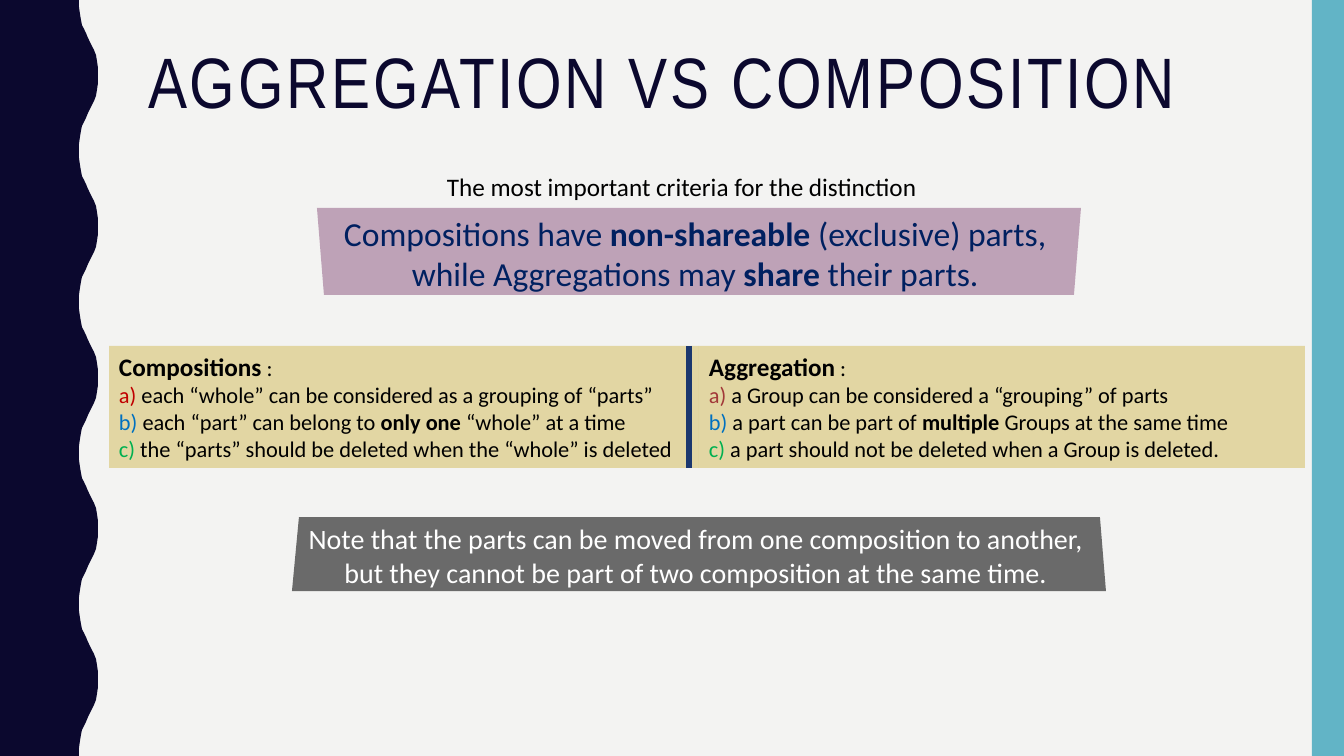
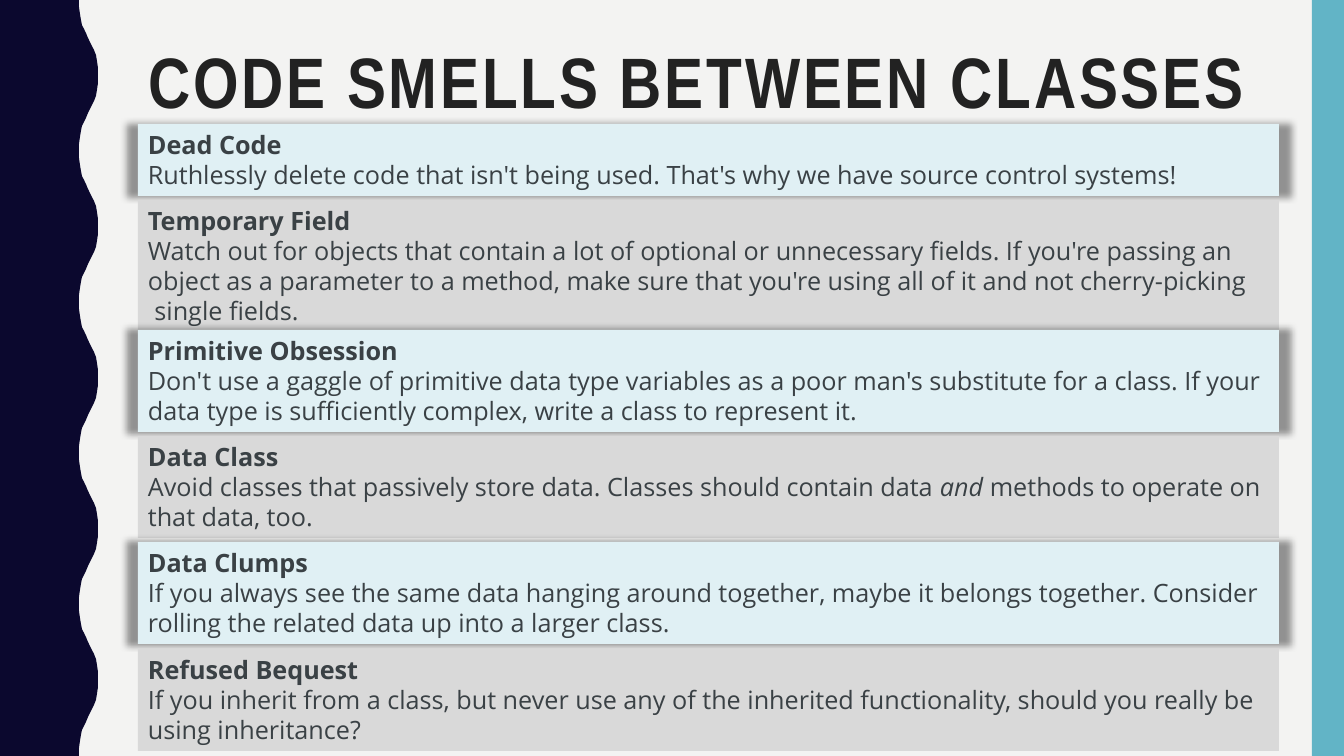
from lxml import etree
from pptx import Presentation
from pptx.dml.color import RGBColor
from pptx.enum import shapes, text
from pptx.oxml import ns
from pptx.util import Emu, Pt

NAVY = RGBColor(0x0B, 0x08, 0x2E)
TEAL = RGBColor(0x62, 0xB4, 0xC6)
PAPER = RGBColor(0xF3, 0xF3, 0xF2)
BLACK = RGBColor(0, 0, 0)
WHITE = RGBColor(0xFF, 0xFF, 0xFF)
CHARCOAL = RGBColor(0x22, 0x22, 0x22)
SLATE = RGBColor(0x3A, 0x41, 0x45)
DEEP_BLUE = RGBColor(0x00, 0x20, 0x60)
DIVIDER_BLUE = RGBColor(0x1B, 0x37, 0x6E)
MAUVE = RGBColor(0x96, 0x64, 0x8A)
SAND = RGBColor(0xD3, 0xBA, 0x55)
ICE = RGBColor(0xE0, 0xF0, 0xF4)
SILVER = RGBColor(0xD9, 0xD9, 0xD9)
RED = RGBColor(0xC0, 0x00, 0x00)
BRICK = RGBColor(0xA2, 0x39, 0x39)
BLUE = RGBColor(0x00, 0x70, 0xC0)
GREEN = RGBColor(0x00, 0xB0, 0x50)

WIDTH, HEIGHT = 1344, 756
EMU_PER_PX = 12192000 / WIDTH
TITLE_FONT, BODY_FONT, CARD_FONT = "Arial Narrow", "Calibri", "Open Sans"

WAVES = 5
HALF_WAVE = [(79, 0), (79, 7), (80, 14), (81, 20), (82, 25), (84, 29), (86, 33), (88, 38),
             (90, 42), (92, 46), (94, 50), (96, 55), (97, 61), (98, 68), (98, 76)]


def px(length):
    return Emu(round(length * EMU_PER_PX))


def bold(words, **more):
    return words, {"bold": True, **more}


def italic(words):
    return words, {"italic": True}


def colored(words, color):
    return words, {"color": color}


def wave_outline():
    """Points of the left band, whose right edge repeats one mirrored half wave."""
    period = HEIGHT // WAVES
    wave = HALF_WAVE + [(x, period - y) for x, y in reversed(HALF_WAVE[:-1])]
    edge = [(x, HEIGHT * index // WAVES + y) for index in range(WAVES) for x, y in wave]
    return [(0, 0), *edge, (HALF_WAVE[0][0], HEIGHT), (0, HEIGHT)]


class Deck:
    def __init__(self):
        self.presentation = Presentation()
        self.presentation.slide_width = px(WIDTH)
        self.presentation.slide_height = px(HEIGHT)
        self.layout = self.presentation.slide_layouts.get_by_name("Title Only")
        self.slide = None
        background = self.presentation.slide_master.background.fill
        background.solid()
        background.fore_color.rgb = PAPER

    def add_slide(self, title, color, is_bold=False):
        self.slide = self.presentation.slides.add_slide(self.layout)
        shape = self.slide.shapes.title
        shape.left, shape.top, shape.width, shape.height = map(px, (138, 42, 1122, 165))
        frame = shape.text_frame
        frame.text = title
        frame.vertical_anchor = text.MSO_ANCHOR.TOP
        frame.auto_size = text.MSO_AUTO_SIZE.NONE
        paragraph = frame.paragraphs[0]
        paragraph.alignment = text.PP_ALIGN.LEFT
        paragraph.line_spacing = 0.9
        self.format_font(paragraph.font, TITLE_FONT, 51, color)
        paragraph.font.bold = is_bold
        for properties in shape.element.iter(ns.qn("a:defRPr")):
            properties.set("spc", "200")

    def add_master_bands(self):
        """Draw the side bands on the current slide, then hand them to the master."""
        tree = self.presentation.slide_master.shapes.element
        bands = [self.outline(wave_outline(), NAVY), self.box(1312, 0, 32, HEIGHT, TEAL)]
        for index, band in enumerate(bands):
            tree.insert(2 + index, band.element)

    @staticmethod
    def format_font(font, name, size, color):
        font.name, font.size, font.color.rgb = name, Pt(size), color

    @staticmethod
    def paint(shape, color, opacity=100):
        shape.shadow.inherit = False
        shape.fill.solid()
        shape.fill.fore_color.rgb = color
        shape.line.fill.background()
        if opacity < 100:
            fill = shape.element.spPr.find(ns.qn("a:solidFill"))
            etree.SubElement(fill[0], ns.qn("a:alpha"), val=str(opacity * 1000))
        return shape

    def box(self, left, top, width, height, color, opacity=100):
        shape = self.slide.shapes.add_shape(
            shapes.MSO_SHAPE.RECTANGLE, px(left), px(top), px(width), px(height))
        return self.paint(shape, color, opacity)

    def outline(self, points, color, opacity=100):
        builder = self.slide.shapes.build_freeform(*points[0], scale=EMU_PER_PX)
        builder.add_line_segments(points[1:], close=True)
        return self.paint(builder.convert_to_shape(), color, opacity)

    def text_box(self, left, top, width, height):
        return self.slide.shapes.add_textbox(px(left), px(top), px(width), px(height))

    def divider(self, x, top, bottom, color, weight):
        line = self.slide.shapes.add_connector(
            shapes.MSO_CONNECTOR.STRAIGHT, px(x), px(top), px(x), px(bottom))
        line.line.color.rgb = color
        line.line.width = Pt(weight)
        etree.SubElement(line.element.spPr, ns.qn("a:effectLst"))

    @staticmethod
    def glow(shape):
        """Give the shape a soft, centred shadow slightly larger than itself."""
        effects = shape.element.spPr.find(ns.qn("a:effectLst"))
        shadow = etree.SubElement(effects, ns.qn("a:outerShdw"), blurRad="63500",
                                  sx="102000", sy="102000", algn="ctr", rotWithShape="0")
        color = etree.SubElement(shadow, ns.qn("a:srgbClr"), val=str(BLACK))
        etree.SubElement(color, ns.qn("a:alpha"), val="40000")

    def set_text(self, shape, paragraphs, font, size, color, alignment=text.PP_ALIGN.LEFT):
        """Fill a shape; a paragraph is a list of strings and (string, style) pairs."""
        frame = shape.text_frame
        frame.word_wrap = True
        frame.vertical_anchor = text.MSO_ANCHOR.TOP
        for index, runs in enumerate(paragraphs):
            paragraph = frame.add_paragraph() if index else frame.paragraphs[0]
            paragraph.alignment = alignment
            self.format_font(paragraph.font, font, size, color)
            for item in runs:
                words, style = (item, {}) if isinstance(item, str) else item
                run = paragraph.add_run()
                run.text = words
                if "color" in style:
                    run.font.color.rgb = style["color"]
                if "size" in style:
                    run.font.size = Pt(style["size"])
                if "bold" in style:
                    run.font.bold = True
                if "italic" in style:
                    run.font.italic = True

    def banner(self, corners, fill, paragraphs, size, color):
        shape = self.outline(corners, fill, 56)
        self.set_text(shape, paragraphs, BODY_FONT, size, color, text.PP_ALIGN.CENTER)

    def panel(self, left, width, heading, items):
        shape = self.box(left, 346, width, 122, SAND, 50)
        self.set_text(shape, [[bold(heading, size=18), " :"], *items], BODY_FONT, 16, BLACK)

    def card(self, top, lines, heading, body, highlighted):
        shape = self.box(138, top, 1141, 42 + 30 * lines, ICE if highlighted else SILVER)
        if highlighted:
            self.glow(shape)
        self.set_text(shape, [[bold(heading)], *body], CARD_FONT, 18, SLATE)


COMPOSITION_ITEMS = [
    [colored("a) ", RED), "each “whole” can be considered as a grouping of “parts”"],
    [colored("b) ", BLUE), "each “part” can belong to ", bold("only one "), "“whole” at a time"],
    [colored("c) ", GREEN), "the “parts” should be deleted when the “whole” is deleted"],
]
AGGREGATION_ITEMS = [
    [colored("a) ", BRICK), "a Group can be considered a “grouping” of parts"],
    [colored("b) ", BLUE), "a part can be part of ", bold("multiple"),
     " Groups at the same time"],
    [colored("c) ", GREEN), "a part should not be deleted when a Group is deleted."],
]

# Top, number of body lines, heading, body paragraphs
SMELLS = [
    (124, 1, "Dead Code",
     [["Ruthlessly delete code that isn't being used. "
       "That's why we have source control systems!"]]),
    (200, 3, "Temporary Field",
     [["Watch out for objects that contain a lot of optional or unnecessary fields. "
       "If you're passing an object as a parameter to a method, make sure that you're "
       "using all of it and not cherry-picking"],
      [" single fields."]]),
    (330, 2, "Primitive Obsession",
     [["Don't use a gaggle of primitive data type variables as a poor man's substitute "
       "for a class. If your data type is sufficiently complex, "
       "write a class to represent it."]]),
    (436, 2, "Data Class",
     [["Avoid classes that passively store data. Classes should contain data ",
       italic("and"), " methods to operate on that data, too."]]),
    (542, 2, "Data Clumps",
     [["If you always see the same data hanging around together, maybe it belongs "
       "together. Consider rolling the related data up into a larger class."]]),
    (649, 2, "Refused Bequest",
     [["If you inherit from a class, but never use any of the inherited functionality, "
       "should you really be using inheritance?"]]),
]


def main():
    deck = Deck()

    deck.add_slide("AGGREGATION VS COMPOSITION", NAVY)
    deck.add_master_bands()
    deck.banner([(317, 208), (1081, 208), (1074, 295), (324, 295)], MAUVE, [
        ["Compositions have ", bold("non-shareable"), " (exclusive) parts, "],
        ["while Aggregations may ", bold("share"), " their parts. "],
    ], 24, DEEP_BLUE)
    deck.panel(109, 590, "Compositions", COMPOSITION_ITEMS)
    deck.panel(699, 606, "Aggregation", AGGREGATION_ITEMS)
    deck.divider(689, 346, 468, DIVIDER_BLUE, 4)
    deck.banner([(299, 517), (1100, 517), (1106, 591), (292, 591)], BLACK, [
        ["Note that the parts can be moved from one composition to another, "],
        ["but they cannot be part of two composition at the same time. "],
    ], 20, WHITE)
    caption = deck.text_box(437, 166, 503, 40)
    deck.set_text(caption, [["The most important criteria for the distinction"]],
                  BODY_FONT, 18, BLACK)

    deck.add_slide("CODE SMELLS BETWEEN CLASSES", CHARCOAL, is_bold=True)
    for index, smell in enumerate(SMELLS):
        deck.card(*smell, highlighted=index % 2 == 0)

    deck.presentation.save("out.pptx")


if __name__ == "__main__":
    main()
